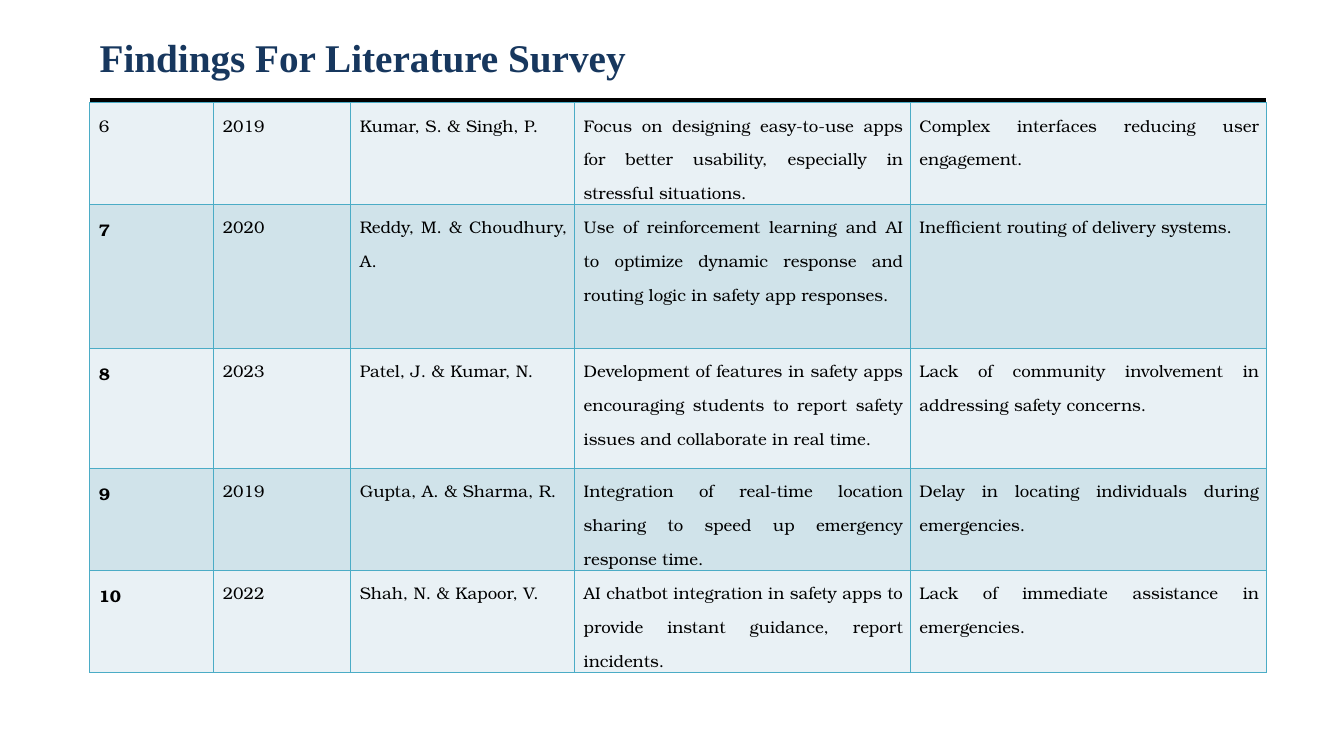
import lxml.etree
import pptx
import pptx.dml.color
import pptx.enum.shapes
import pptx.enum.text
import pptx.oxml.ns
import pptx.util

Inches = pptx.util.Inches
Pt = pptx.util.Pt
RGBColor = pptx.dml.color.RGBColor
qn = pptx.oxml.ns.qn

NAVY = RGBColor(0x17, 0x37, 0x5E)
BLACK = RGBColor(0x00, 0x00, 0x00)
GRID_TEAL = RGBColor(0x4B, 0xAC, 0xC6)
ROW_FILLS = [RGBColor(0xE9, 0xF1, 0xF5), RGBColor(0xD0, 0xE3, 0xEA)]

LEFT, WIDTH = 0.89, 11.67
COLUMN_WIDTHS = [1.23, 1.36, 2.22, 3.33, 3.53]
THREE_LINES = 1.01
ROW_HEIGHTS = [THREE_LINES, 1.43, 1.19, THREE_LINES, THREE_LINES]
CELL_FORMAT = {
    "margin_left": Inches(0.07),
    "margin_right": Inches(0.07),
    "margin_top": 0,
    "margin_bottom": 0,
}
PARAGRAPH_FORMAT = {
    "alignment": pptx.enum.text.PP_ALIGN.JUSTIFY,
    "line_spacing": 1.5,
}
FINDINGS = [
    ("6", "2019", "Kumar, S. & Singh, P.",
     "Focus on designing easy-to-use apps for better usability, especially in stressful situations.",
     "Complex interfaces reducing user engagement."),
    ("7", "2020", "Reddy, M. & Choudhury, A.",
     "Use of reinforcement learning and AI to optimize dynamic response and routing logic in safety app responses.",
     "Inefficient routing of delivery systems."),
    ("8", "2023", "Patel, J. & Kumar, N.",
     "Development of features in safety apps encouraging students to report safety issues and collaborate in real time.",
     "Lack of community involvement in addressing safety concerns."),
    ("9", "2019", "Gupta, A. & Sharma, R.",
     "Integration of real-time location sharing to speed up emergency response time.",
     "Delay in locating individuals during emergencies."),
    ("10", "2022", "Shah, N. & Kapoor, V.",
     "AI chatbot integration in safety apps to provide instant guidance, report incidents.",
     "Lack of immediate assistance in emergencies."),
]


def set_font(font, name, size, color, bold):
    font.name = name
    font.size = Pt(size)
    font.color.rgb = color
    font.bold = bold


def add_borders(cell):
    """Outline all four sides; borders must precede the fill in the XML."""
    properties = cell._tc.get_or_add_tcPr()
    for position, side in enumerate(("lnL", "lnR", "lnT", "lnB")):
        border = lxml.etree.Element(qn(f"a:{side}"), w=str(Pt(1)))
        fill = lxml.etree.SubElement(border, qn("a:solidFill"))
        lxml.etree.SubElement(fill, qn("a:srgbClr"), val=str(GRID_TEAL))
        properties.insert(position, border)


presentation = pptx.Presentation()
presentation.slide_width = Inches(13.33)
presentation.slide_height = Inches(7.5)
slide = presentation.slides.add_slide(presentation.slide_layouts[6])

title_rule = slide.shapes.add_connector(
    pptx.enum.shapes.MSO_CONNECTOR.STRAIGHT,
    Inches(LEFT), Inches(1), Inches(LEFT + WIDTH), Inches(1))
title_rule.line.color.rgb = BLACK
title_rule.line.width = Pt(4.5)
lxml.etree.SubElement(title_rule._element.spPr, qn("a:effectLst"))

title = slide.shapes.add_textbox(
    Inches(LEFT), Inches(0.3), Inches(WIDTH), Inches(0.53)).text_frame
title.word_wrap = True
title.vertical_anchor = pptx.enum.text.MSO_ANCHOR.MIDDLE
title_run = title.paragraphs[0].add_run()
title_run.text = "Findings For Literature Survey"
set_font(title_run.font, "Times New Roman", 28, NAVY, True)

survey = slide.shapes.add_table(
    len(ROW_HEIGHTS), len(COLUMN_WIDTHS), Inches(LEFT), Inches(1.02),
    Inches(WIDTH), Inches(sum(ROW_HEIGHTS))).table
survey.first_row = False
survey.horz_banding = False
for column, width in zip(survey.columns, COLUMN_WIDTHS):
    column.width = Inches(width)

for row_index, finding in enumerate(FINDINGS):
    survey.rows[row_index].height = Inches(ROW_HEIGHTS[row_index])
    for column_index, text in enumerate(finding):
        cell = survey.cell(row_index, column_index)
        for attribute, value in CELL_FORMAT.items():
            setattr(cell, attribute, value)
        cell.fill.solid()
        cell.fill.fore_color.rgb = ROW_FILLS[row_index % 2]
        add_borders(cell)

        paragraph = cell.text_frame.paragraphs[0]
        for attribute, value in PARAGRAPH_FORMAT.items():
            setattr(paragraph, attribute, value)
        paragraph._p.get_or_add_pPr().set("marL", str(Inches(0.02)))
        run = paragraph.add_run()
        run.text = text
        is_bold = column_index == 0 and row_index > 0
        set_font(run.font, "TeX Gyre Bonum", 12, BLACK, is_bold)

presentation.save("out.pptx")
